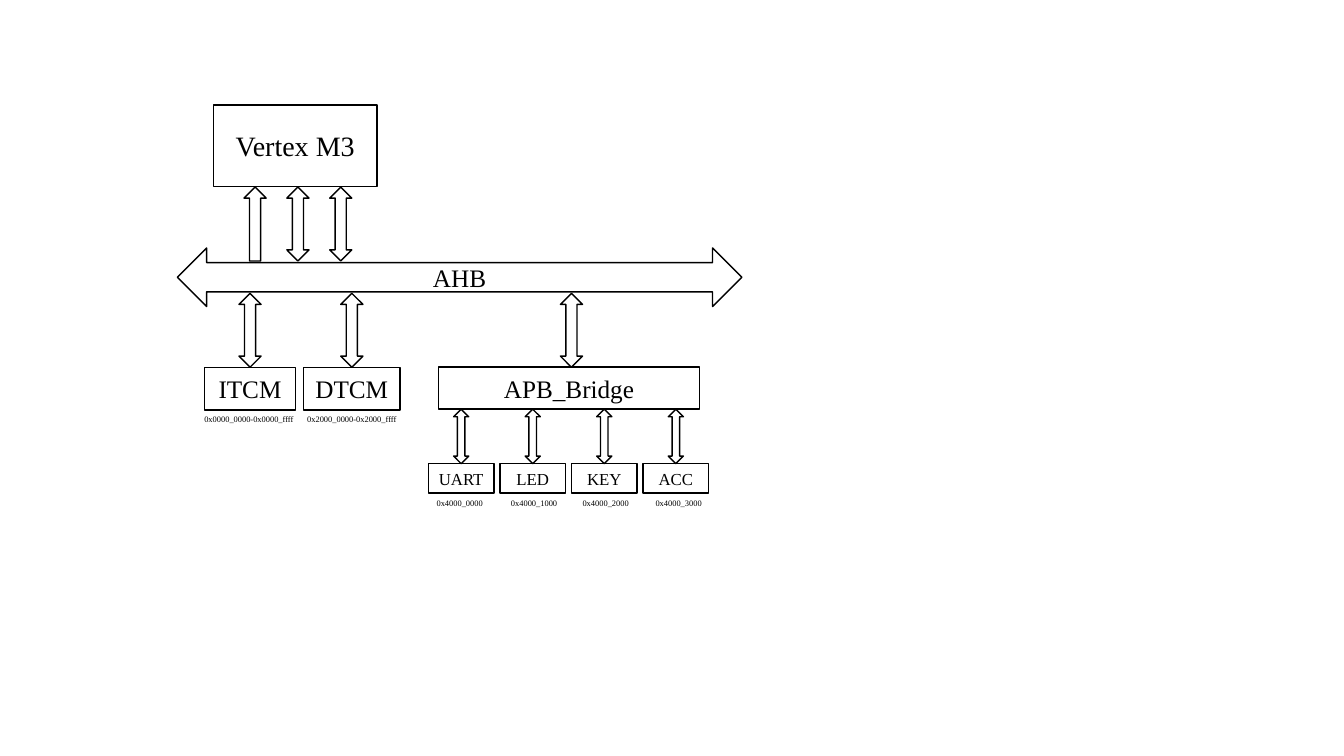
"""Build a slide showing a processor, its AHB bus, memories and APB peripherals."""
import dataclasses

import pptx
import pptx.dml.color
import pptx.enum.shapes
import pptx.enum.text
import pptx.util

Pt = pptx.util.Pt
Shape = pptx.enum.shapes.MSO_SHAPE


@dataclasses.dataclass(frozen=True)
class Theme:
    font: str = "Times New Roman"
    ink: pptx.dml.color.RGBColor = pptx.dml.color.RGBColor(0, 0, 0)
    line: float = 1
    core: float = 20
    block: float = 18
    peripheral: float = 12
    address: float = 6


THEME = Theme()

CORE = ("Vertex M3", (152.6, 74.9, 116.6, 58.3))
BUS = ("AHB", (126.7, 177.1, 403.2, 41.8))
BRIDGE = ("APB_Bridge", (313.2, 262.1, 186.5, 30.2))
MEMORIES = [
    ("ITCM", "0x0000_0000-0x0000_ffff", 178.6, 64.8, -0.8),
    ("DTCM", "0x2000_0000-0x2000_ffff", 251.3, 69.1, 0),
]
PERIPHERALS = [
    ("UART", "0x4000_0000", -1),
    ("LED", "0x4000_1000", 1),
    ("KEY", "0x4000_2000", 1),
    ("ACC", "0x4000_3000", 2),
]
CORE_LINKS = [Shape.UP_ARROW, Shape.UP_DOWN_ARROW, Shape.UP_DOWN_ARROW]

CORE_LINK_START, CORE_LINK_STEP = 182.2, 30.6
BRIDGE_LINK = 408.2
CORE_LINK_TOP, BUS_LINK_TOP, PERIPHERAL_LINK_TOP = 133.6, 209.5, 292.3
LINK_SIZE = (15.84, 52.8)
SMALL_LINK_SIZE = (10.8, 38.9)
MEMORY_TOP, MEMORY_HEIGHT = 262.6, 30.2
PERIPHERAL_START, PERIPHERAL_STEP = 329.4, 51.12
PERIPHERAL_TOP, PERIPHERAL_SIZE = 331.2, (46.8, 20.9)
ADDRESS_HEIGHT = 14.4


def centred(middle, top, width, height):
    """Return a frame centred on a vertical axis."""
    return middle - width / 2, top, width, height


def write(box, text, size, wrap=True):
    """Put one centred line of text in a box."""
    frame = box.text_frame
    frame.word_wrap = wrap
    frame.margin_left = frame.margin_right = 0
    frame.vertical_anchor = pptx.enum.text.MSO_ANCHOR.MIDDLE
    para = frame.paragraphs[0]
    para.alignment = pptx.enum.text.PP_ALIGN.CENTER
    span = para.add_run()
    span.text = text
    span.font.name = THEME.font
    span.font.size = Pt(size)
    span.font.color.rgb = THEME.ink


def add_outline(page, kind, frame, text="", size=THEME.block):
    """Draw an unfilled preset shape with optional text."""
    box = page.shapes.add_shape(kind, *map(Pt, frame))
    box.shadow.inherit = False
    box.fill.background()
    box.line.color.rgb = THEME.ink
    box.line.width = Pt(THEME.line)
    if text:
        write(box, text, size)


def add_address(page, text, middle, top, width):
    """Place an address below a block."""
    frame = centred(middle, top, width, ADDRESS_HEIGHT)
    box = page.shapes.add_textbox(*map(Pt, frame))
    write(box, text, THEME.address, wrap=False)


def add_core(page):
    """Draw the processor, the bus and the links between them."""
    name, frame = CORE
    add_outline(page, Shape.RECTANGLE, frame, name, THEME.core)
    name, frame = BUS
    add_outline(page, Shape.LEFT_RIGHT_ARROW, frame, name)
    for index, kind in enumerate(CORE_LINKS):
        middle = CORE_LINK_START + index * CORE_LINK_STEP
        add_outline(page, kind, centred(middle, CORE_LINK_TOP, *LINK_SIZE))


def add_memories(page):
    """Draw the memories with their bus links and addresses."""
    for name, address, middle, width, shift in MEMORIES:
        add_outline(page, Shape.UP_DOWN_ARROW, centred(middle, BUS_LINK_TOP, *LINK_SIZE))
        frame = centred(middle, MEMORY_TOP, width, MEMORY_HEIGHT)
        add_outline(page, Shape.RECTANGLE, frame, name)
        add_address(page, address, middle + shift, MEMORY_TOP + MEMORY_HEIGHT - 0.6, 79.2)


def add_peripherals(page):
    """Draw the bridge and the peripherals it serves."""
    name, frame = BRIDGE
    add_outline(page, Shape.UP_DOWN_ARROW, centred(BRIDGE_LINK, BUS_LINK_TOP, *LINK_SIZE))
    add_outline(page, Shape.RECTANGLE, frame, name)
    for index, (name, address, shift) in enumerate(PERIPHERALS):
        middle = PERIPHERAL_START + index * PERIPHERAL_STEP
        link = centred(middle, PERIPHERAL_LINK_TOP, *SMALL_LINK_SIZE)
        add_outline(page, Shape.UP_DOWN_ARROW, link)
        frame = centred(middle, PERIPHERAL_TOP, *PERIPHERAL_SIZE)
        add_outline(page, Shape.RECTANGLE, frame, name, THEME.peripheral)
        add_address(page, address, middle + shift, PERIPHERAL_TOP + PERIPHERAL_SIZE[1], 47.5)


deck = pptx.Presentation()
deck.slide_width, deck.slide_height = Pt(960), Pt(540)
page = deck.slides.add_slide(deck.slide_layouts[6])
add_core(page)
add_memories(page)
add_peripherals(page)
deck.save("out.pptx")
